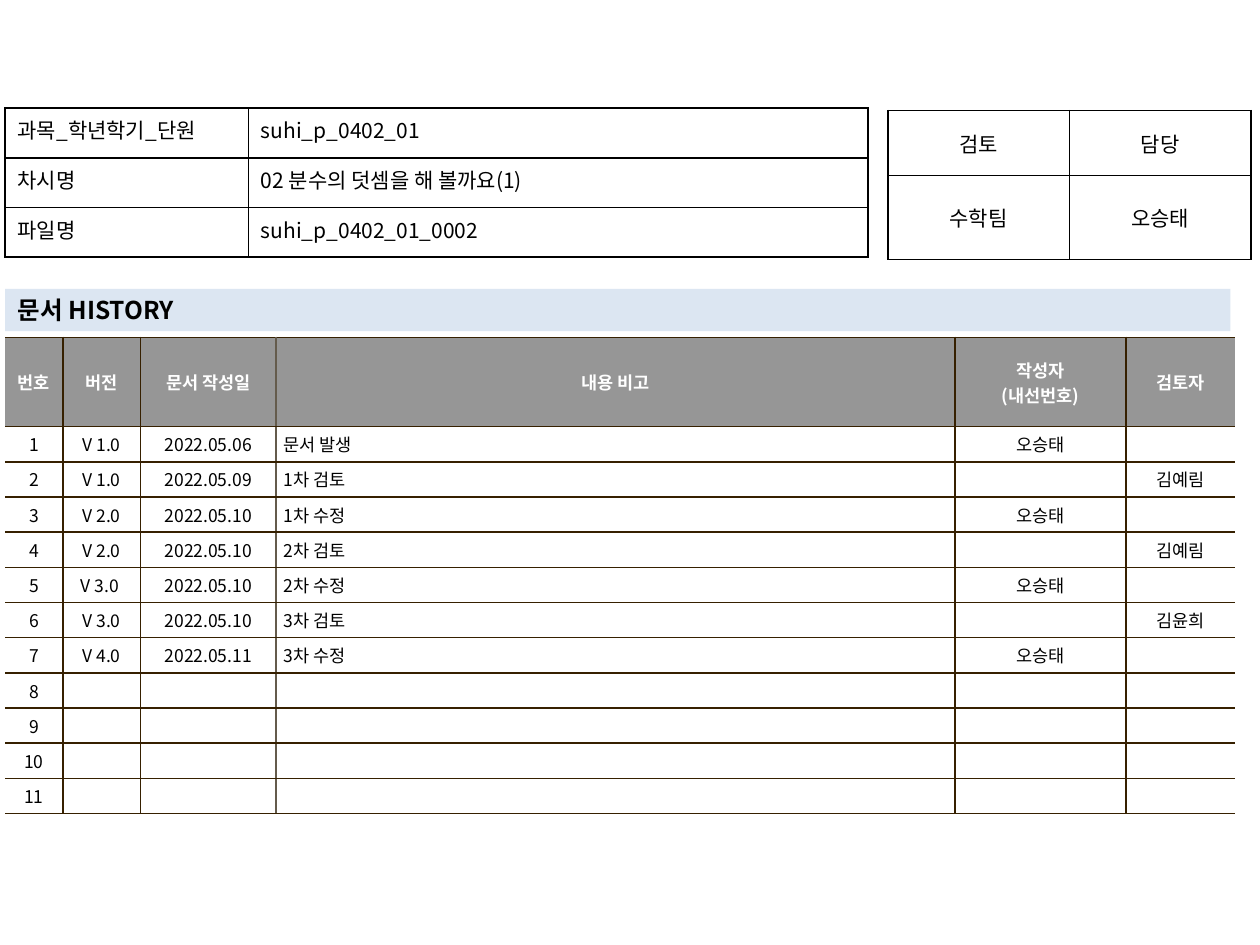
from lxml import etree
from pptx import Presentation
from pptx import util as u
from pptx.dml.color import RGBColor
from pptx.enum import text
from pptx.oxml.ns import qn

FONT = "Noto Sans CJK KR"
CENTER = text.PP_ALIGN.CENTER
LEFT = text.PP_ALIGN.LEFT
JUSTIFY = text.PP_ALIGN.JUSTIFY
BROWN, TAUPE, BLACK, WHITE = "362000", "645B4C", "000000", "FFFFFF"


def style(para, size, color, bold, align):
    para.alignment = align
    para.font.size = u.Pt(size)
    para.font.bold = bold
    para.font.color.rgb = RGBColor.from_string(color)
    para.font.name = FONT
    defaults = para._p.find(qn("a:pPr")).find(qn("a:defRPr"))
    etree.SubElement(defaults, qn("a:ea"), typeface=FONT)
    if not para.text:
        etree.SubElement(para._p, qn("a:endParaRPr"), sz=str(size * 100))


def add_grid(page, rows, left, top, widths, heights, margins):
    frame = page.shapes.add_table(len(rows), len(widths), u.Pt(left), u.Pt(top),
                                  u.Pt(sum(widths)), u.Pt(sum(heights)))
    grid = frame.table
    grid.first_row = grid.horz_banding = False
    for column, width in zip(grid.columns, widths):
        column.width = u.Pt(width)
    for row, height, values in zip(grid.rows, heights, rows):
        row.height = u.Pt(height)
        for cell, value in zip(row.cells, values):
            cell.text = value
            cell.margin_left = cell.margin_right = u.Pt(margins[0])
            cell.margin_top = cell.margin_bottom = u.Pt(margins[1])
            cell.fill.background()
    return grid


deck = Presentation()
deck.slide_width, deck.slide_height = u.Pt(720), u.Pt(540)
page = deck.slides.add_slide(deck.slide_layouts[5])

title = page.shapes.title
title.left, title.top, title.width, title.height = u.Pt(2.9), u.Pt(165), u.Pt(700.2), u.Pt(24.2)
title.fill.solid()
title.fill.fore_color.rgb = RGBColor.from_string("DCE6F2")
title.text_frame.text = "문서 HISTORY"
title.text_frame.auto_size = text.MSO_AUTO_SIZE.NONE
title.text_frame.vertical_anchor = text.MSO_ANCHOR.MIDDLE
style(title.text_frame.paragraphs[0], 14, BLACK, True, LEFT)

history_rows = [
    ["번호", "버전", "문서 작성일", "내용 비고", "작성자\n(내선번호)", "검토자"],
    ["1", "V 1.0", "2022.05.06", "문서 발생", "오승태", ""],
    ["2", "V 1.0", "2022.05.09", "1차 검토", "", "김예림"],
    ["3", "V 2.0", "2022.05.10", "1차 수정", "오승태", ""],
    ["4", "V 2.0", "2022.05.10", "2차 검토", "", "김예림"],
    ["5", "V 3.0 ", "2022.05.10", "2차 수정", "오승태", ""],
    ["6", "V 3.0", "2022.05.10", "3차 검토", "", "김윤희"],
    ["7", "V 4.0", "2022.05.11", "3차 수정", "오승태", ""],
]
history_rows += [[str(number)] + [""] * 5 for number in range(8, 12)]
history = add_grid(page, history_rows, 2.9, 192.8, [33, 44.3, 77.6, 388, 97.8, 62.4],
                   [51] + [20.1] * 11, (4.3, 2.8))
review = add_grid(page, [["검토", "담당"], ["수학팀", "오승태"]], 507.4, 63.2,
                  [103.7, 103.7], [37.2, 47.8], (7.2, 3.6))
lesson_rows = [
    ["과목_학년학기_단원 ", "suhi_p_0402_01"],
    ["차시명", "02 분수의 덧셈을 해 볼까요(1)"],
    ["파일명", "suhi_p_0402_01_0002"],
]
lesson = add_grid(page, lesson_rows, 2.9, 61.8, [139, 354.2], [28.4] * 3, (7.2, 3.6))

for grid in (history, review, lesson):
    last_column = len(grid.columns) - 1
    for row_index, row in enumerate(grid.rows):
        for column_index, cell in enumerate(row.cells):
            header = grid is history and row_index == 0
            align, size = CENTER, 12
            edges = dict.fromkeys(("lnL", "lnR", "lnT", "lnB"), BLACK)
            if grid is history:
                size = 10
                edges = dict.fromkeys(edges, BROWN)
                if column_index == 0:
                    edges["lnL"] = None
                if column_index == 2:
                    edges["lnR"] = TAUPE
                if column_index == 3:
                    edges["lnL"] = TAUPE
                    align = CENTER if header else LEFT
                if column_index == last_column:
                    edges["lnR"] = None
            if grid is lesson:
                align = LEFT if column_index else JUSTIFY
            else:
                cell.vertical_anchor = text.MSO_ANCHOR.MIDDLE
            for para in cell.text_frame.paragraphs:
                style(para, size, WHITE if header else BLACK, header, align)
            properties = cell._tc.get_or_add_tcPr()
            for position, (edge, color) in enumerate(edges.items()):
                line = etree.Element(qn(f"a:{edge}"), w=str(u.Pt(1)))
                properties.insert(position, line)
                if color:
                    fill = etree.SubElement(line, qn("a:solidFill"))
                    etree.SubElement(fill, qn("a:srgbClr"), val=color)
                else:
                    etree.SubElement(line, qn("a:noFill"))
            if grid is history:
                cell.fill.solid()
                cell.fill.fore_color.rgb = RGBColor.from_string("969696" if header else WHITE)

deck.save("out.pptx")
